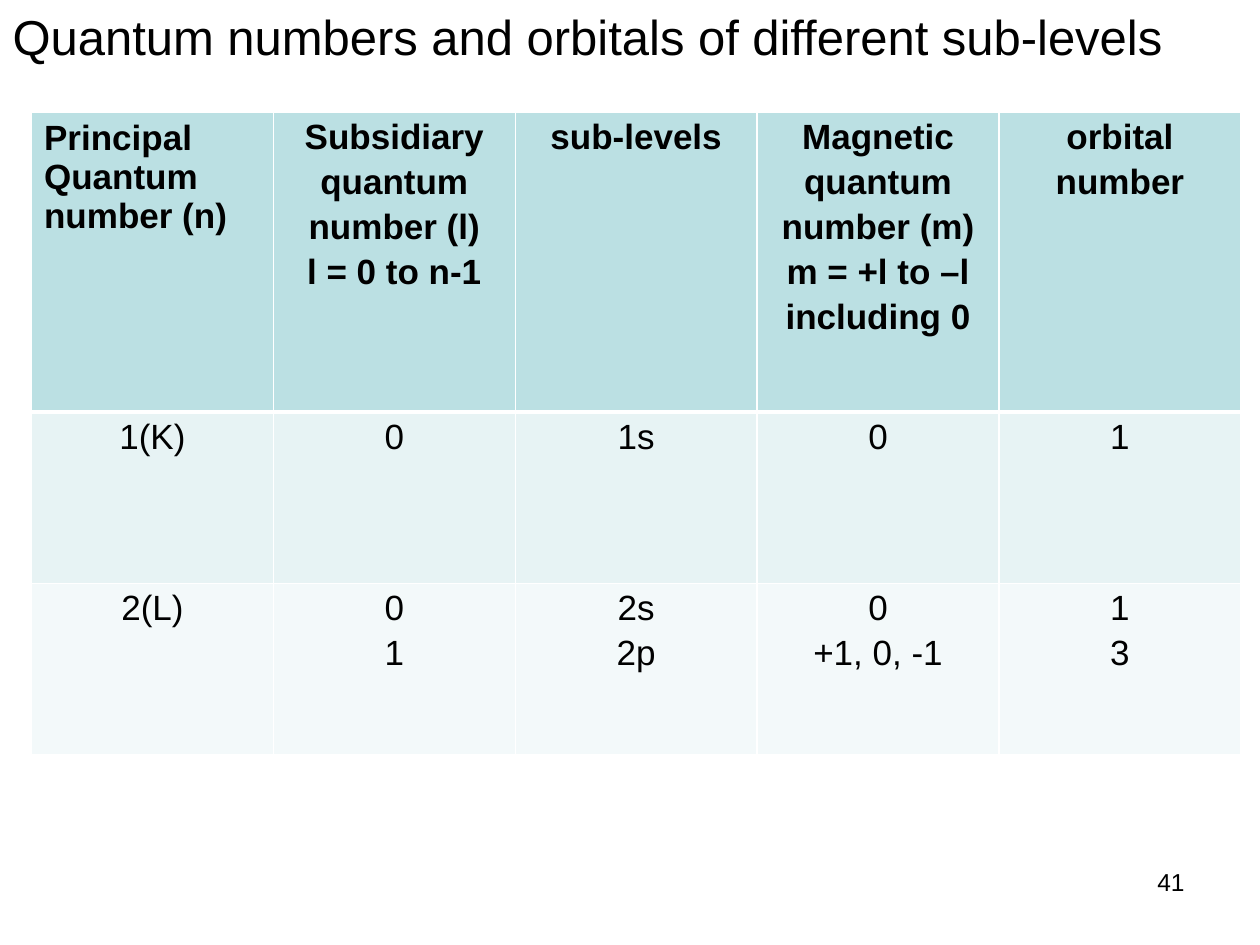
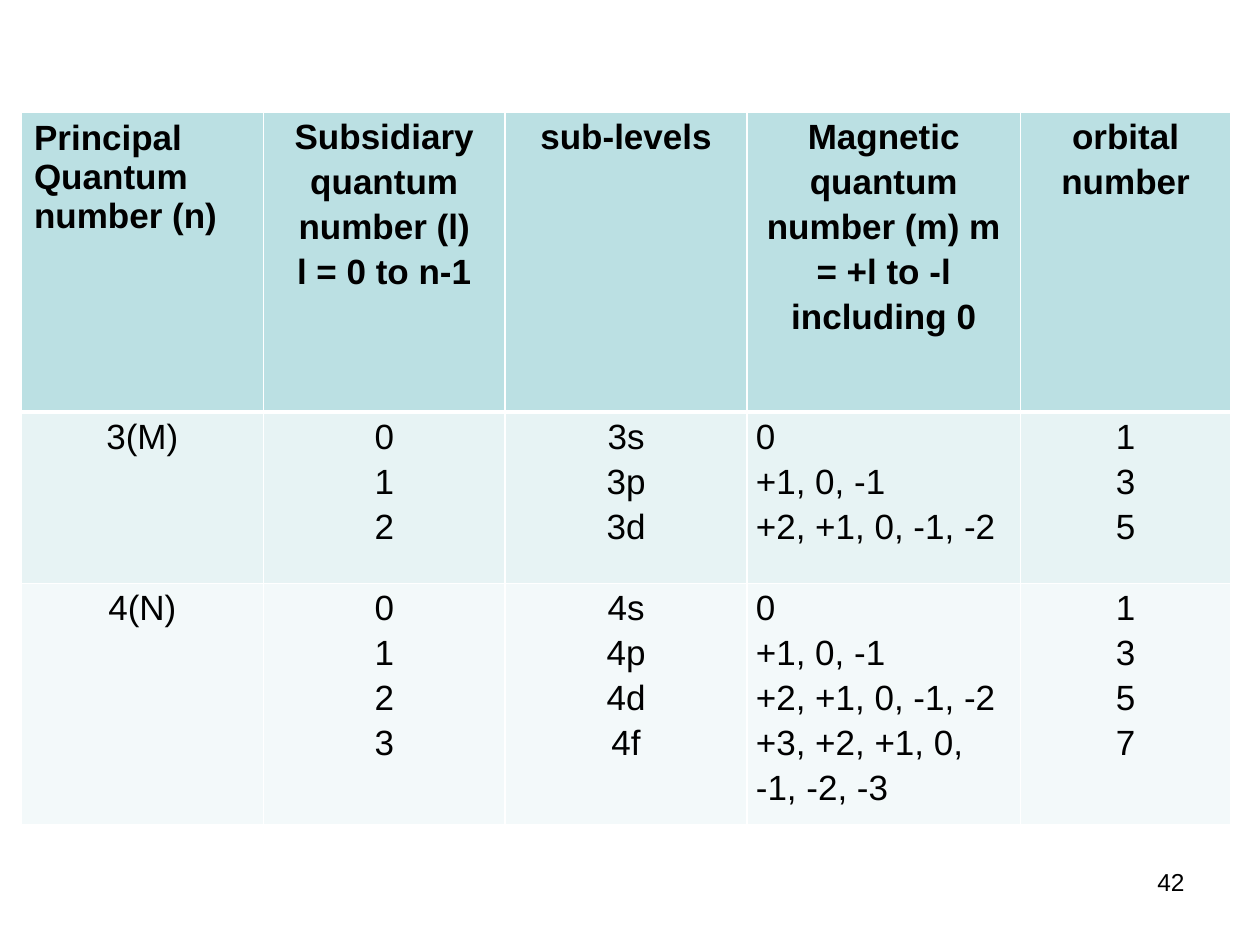
from lxml.etree import SubElement
from pptx import Presentation
from pptx.dml.color import RGBColor
from pptx.enum.text import MSO_ANCHOR, PP_ALIGN
from pptx.oxml.ns import qn
from pptx.util import Inches, Pt

FONT = "Arial"
COLORS = {
    "text": "000000",
    "border": "FFFFFF",
    "header": "BBE0E3",
    "odd": "E7F3F4",
    "even": "F3F9FA",
}
TABLE_TOP = 0.89
ROW_HEIGHTS = [2.38, 1.36, 1.36]
MAGNETIC_COL = 3
FIRST_PAGE = 41


def format_paragraph(p, size, align=PP_ALIGN.LEFT, bold=False):
    p.alignment = align
    for r in p.runs:
        r.font.name = FONT
        r.font.size = Pt(size)
        r.font.bold = bold
        r.font.color.rgb = RGBColor.from_string(COLORS["text"])


def add_title(s, text):
    title = s.shapes.title
    title.left, title.top = Inches(0), Inches(0)
    title.width, title.height = Inches(10), Inches(7.5)
    tf = title.text_frame
    tf.text = text
    tf.word_wrap = True
    tf.vertical_anchor = MSO_ANCHOR.TOP
    p = tf.paragraphs[0]
    p.space_before = Pt(5.6)
    format_paragraph(p, 28)


def add_page_number(s, number):
    box = s.shapes.add_textbox(Inches(7.17), Inches(6.83), Inches(2.33), Inches(0.52))
    tf = box.text_frame
    tf.word_wrap = True
    tf.text = str(number)
    format_paragraph(tf.paragraphs[0], 14, PP_ALIGN.RIGHT)


def set_borders(cell, top, bottom):
    tcPr = cell._tc.get_or_add_tcPr()
    widths = {"a:lnL": 1, "a:lnR": 1, "a:lnT": top, "a:lnB": bottom}
    for i, (tag, width) in enumerate(widths.items()):
        ln = SubElement(tcPr, qn(tag), w=str(Pt(width)))
        fill = SubElement(ln, qn("a:solidFill"))
        SubElement(fill, qn("a:srgbClr"), val=COLORS["border"])
        tcPr.insert(i, ln)  # borders come before the fill


def fill_cell(cell, text, row, align):
    header = row == 0
    cell.fill.solid()
    key = "header" if header else "odd" if row % 2 else "even"
    cell.fill.fore_color.rgb = RGBColor.from_string(COLORS[key])
    set_borders(cell, top=3 if row == 1 else 1, bottom=3 if header else 1)
    cell.text = text
    for p in cell.text_frame.paragraphs:
        format_paragraph(p, 20, align, bold=header)


def tighten(cell):
    cell.margin_left = cell.margin_right = Inches(0.07)
    cell.margin_top = cell.margin_bottom = Inches(0)
    for p in cell.text_frame.paragraphs:
        p.line_spacing = 1.15


def add_quantum_table(s, left, col_widths, height, minus, shells, magnetic_align):
    headers = [
        "Principal Quantum number (n)",
        "Subsidiary quantum number (l)\nl = 0 to n-1",
        "sub-levels",
        f"Magnetic quantum number (m) m = +l to {minus}l including 0",
        "orbital number",
    ]
    rows = [headers] + shells
    frame = s.shapes.add_table(len(rows), len(headers), Inches(left), Inches(TABLE_TOP),
                               Inches(sum(col_widths)), Inches(height))
    table = frame.table
    for col, width in zip(table.columns, col_widths):
        col.width = Inches(width)
    for row, row_height in zip(table.rows, ROW_HEIGHTS):
        row.height = Inches(row_height)
    frame.height = Inches(height)

    for i, texts in enumerate(rows):
        for j, text in enumerate(texts):
            first = i == j == 0
            align = PP_ALIGN.LEFT if first else PP_ALIGN.CENTER
            if i and j == MAGNETIC_COL:
                align = magnetic_align
            cell = table.cell(i, j)
            fill_cell(cell, text, i, align)
            if not first:
                tighten(cell)


def shell_row(n, letter, magnetic):
    """One table row: l runs from 0 to n-1, with 2l+1 orbitals for each l."""
    levels = range(n)
    return [
        f"{n}({letter})",
        "\n".join(str(l) for l in levels),
        "\n".join(f"{n}{'spdf'[l]}" for l in levels),
        "\n".join(magnetic[:n]),
        "\n".join(str(2 * l + 1) for l in levels),
    ]


def main():
    prs = Presentation()
    prs.slide_width, prs.slide_height = Inches(10), Inches(7.5)
    title_only, blank = prs.slide_layouts[5], prs.slide_layouts[6]
    magnetic = ["0", "+1, 0, -1", "+2, +1, 0, -1, -2", "+3, +2, +1, 0, -1, -2, -3"]
    shells = [shell_row(n, letter, magnetic) for n, letter in enumerate("KLMN", 1)]

    # Shells K and L
    s = prs.slides.add_slide(title_only)
    add_title(s, "Quantum numbers and orbitals of different sub-levels")
    add_quantum_table(s, 0.25, [1.92] * 5, 5.1, "–", shells[:2], PP_ALIGN.CENTER)

    # Shells M and N
    s = prs.slides.add_slide(blank)
    add_quantum_table(s, 0.17, [1.92, 1.92, 1.92, 2.17, 1.67], 5.65, "-",
                      shells[2:], PP_ALIGN.LEFT)

    # Page numbers
    for number, s in enumerate(prs.slides, FIRST_PAGE):
        add_page_number(s, number)

    prs.save("out.pptx")


if __name__ == "__main__":
    main()
